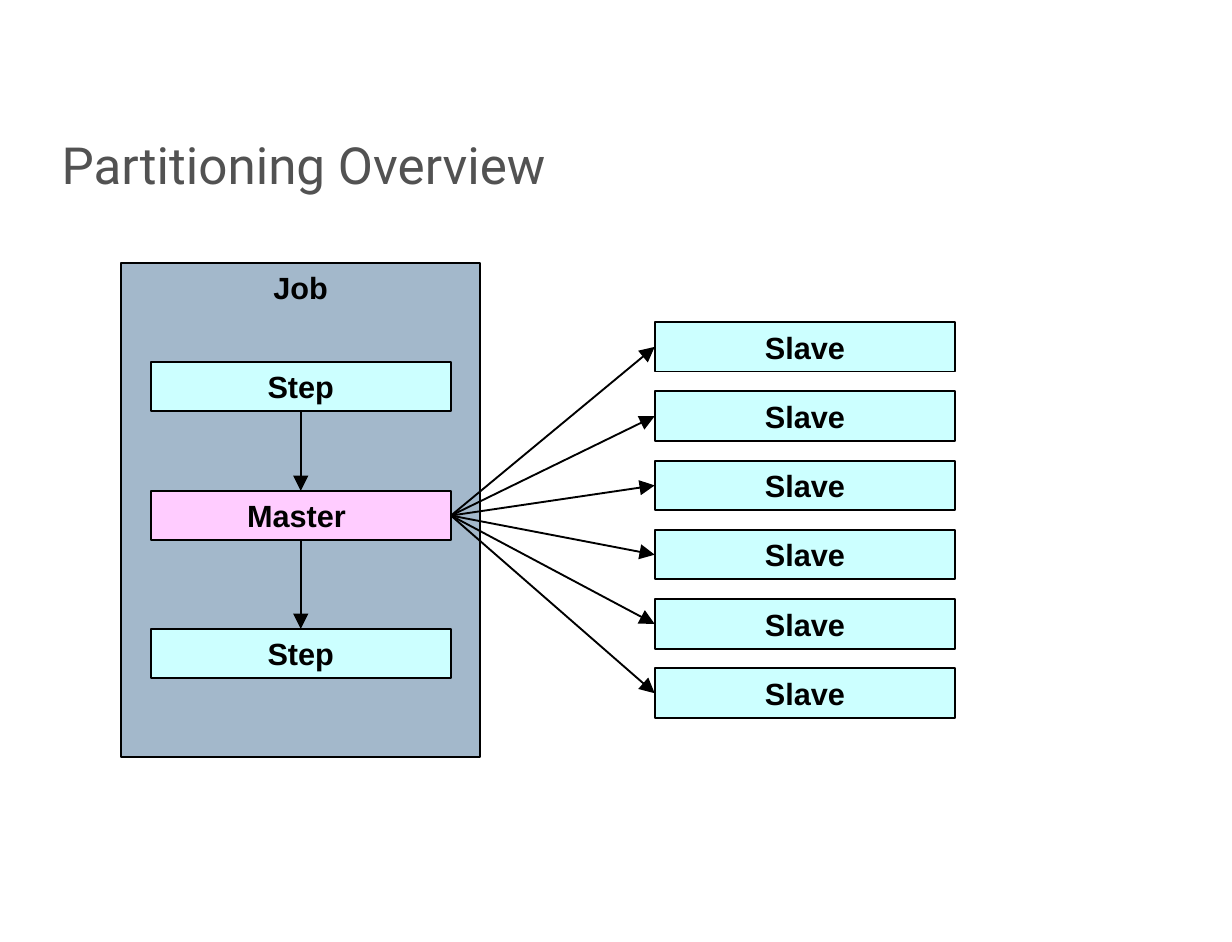
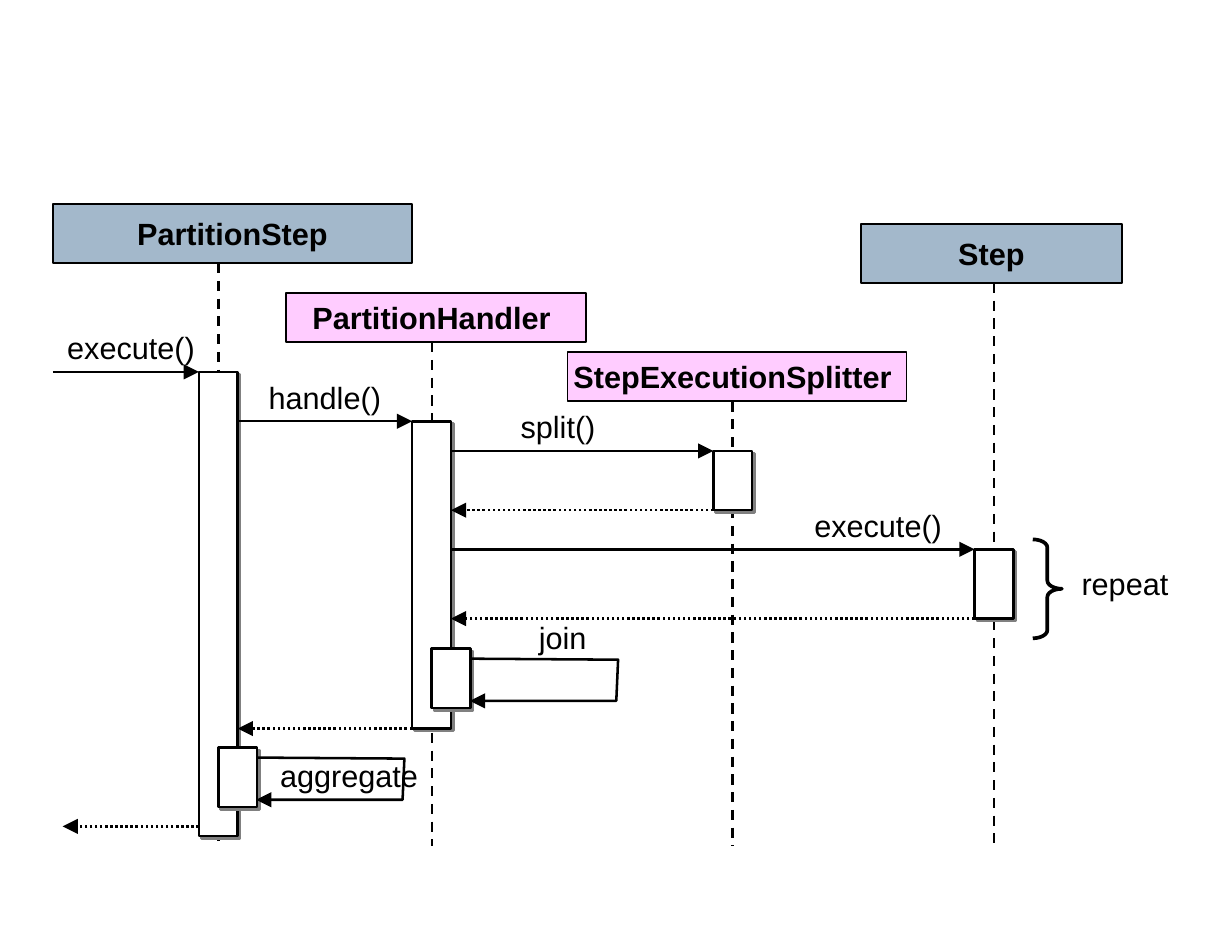
from lxml.etree import SubElement
from pptx import Presentation
from pptx.dml.color import RGBColor
from pptx.enum.dml import MSO_LINE
from pptx.enum.shapes import MSO_CONNECTOR, MSO_SHAPE
from pptx.enum.text import MSO_ANCHOR, PP_ALIGN
from pptx.oxml.ns import qn
from pptx.util import Pt

HUES = {"title": "525252", "ink": "000000", "blue": "A3B8CB", "cyan": "CCFFFF",
        "pink": "FFCCFF", "white": "FFFFFF", "shade": "808080"}


def ink(shape, width=1, dash=None, head=False):
    """Style an outline, with an arrowhead at its end if asked, and clear the shadow."""
    line = shape.line
    line.color.rgb = RGBColor.from_string(HUES["ink"])
    line.width = Pt(width)
    if dash:
        line.dash_style = dash
    props = shape._element.spPr
    if head:
        SubElement(props.find(qn("a:ln")), qn("a:tailEnd"), type="triangle")
    return SubElement(props, qn("a:effectLst"))


def box(page, text, x, y, w, h, fill=None, anchor=MSO_ANCHOR.MIDDLE):
    """Add a filled box with a bold caption, or a plain label when there is no fill."""
    place = Pt(x), Pt(y), Pt(w), Pt(h)
    if fill:
        shape = page.shapes.add_shape(MSO_SHAPE.RECTANGLE, *place)
        shape.fill.solid()
        shape.fill.fore_color.rgb = RGBColor.from_string(HUES[fill])
        ink(shape, 0.75)
    else:
        shape = page.shapes.add_textbox(*place)
    frame = shape.text_frame
    frame.word_wrap = not fill
    frame.vertical_anchor = anchor
    frame.margin_left = frame.margin_right = Pt(5)
    frame.margin_top = frame.margin_bottom = Pt(2.5)
    para = frame.paragraphs[0]
    para.alignment = PP_ALIGN.CENTER
    run = para.add_run()
    run.text = text
    run.font.name = "Arial"
    run.font.size = Pt(12)
    run.font.bold = bool(fill)
    run.font.color.rgb = RGBColor.from_string(HUES["ink"])
    return shape


deck = Presentation()
deck.slide_width, deck.slide_height = Pt(481.89), Pt(368.5)
blank = deck.slide_layouts[6]

# Slide 1: partitioning overview
page = deck.slides.add_slide(blank)
title = page.shapes.add_textbox(Pt(24.1), Pt(14.5), Pt(433.5), Pt(61.7)).text_frame
title.word_wrap = True
title.vertical_anchor = MSO_ANCHOR.BOTTOM
title.margin_left = title.margin_right = title.margin_top = title.margin_bottom = 0
run = title.paragraphs[0].add_run()
run.text = "Partitioning Overview"
run.font.name = "Roboto"
run.font.size = Pt(20)
run.font.color.rgb = RGBColor.from_string(HUES["title"])

box(page, "Job", 47.3, 102.8, 140.5, 193.5, "blue", MSO_ANCHOR.TOP)
first, master, last = [
    box(page, text, 58.9, y, 117.5, 19.4, fill)
    for text, y, fill in [("Step", 141.6, "cyan"), ("Master ", 192, "pink"),
                          ("Step", 246, "cyan")]]
slaves = [box(page, "Slave", 256.1, 126 + 27.1 * row, 117.5, 19.4, "cyan")
          for row in range(6)]

joins = [(first, 2, master, 0), (master, 2, last, 0)]
joins += [(master, 3, slave, 1) for slave in slaves]
for start, out, end, into in joins:
    wire = page.shapes.add_connector(MSO_CONNECTOR.STRAIGHT, 0, 0, 0, 0)
    wire.begin_connect(start, out)
    wire.end_connect(end, into)
    ink(wire, 0.75, head=True)

# Slide 2: sequence diagram
page = deck.slides.add_slide(blank)
heads = [  # text, left, top, width, height, fill, lifeline x
    ("PartitionStep", 20.7, 79.7, 140.5, 23.2, "blue", 85.4),
    ("PartitionHandler ", 111.8, 114.5, 117.5, 19.4, "pink", 169),
    ("StepExecutionSplitter ", 222, 137.7, 132.6, 19.4, "pink", 286.5),
    ("Step", 336.7, 87.5, 102.2, 23.2, "blue", 388.8),
]
for text, x, y, w, h, fill, mid in heads:
    box(page, text, x, y, w, h, fill)
    life = page.shapes.add_connector(
        MSO_CONNECTOR.STRAIGHT, Pt(mid), Pt(y + h), Pt(mid), Pt(331))
    ink(life, dash=MSO_LINE.DASH)

bars = [(77.8, 145.5, 181.6), (161.2, 164.8, 120.1), (279, 176.4, 23.2),
        (381.2, 214.9, 27.2), (168.9, 253.8, 23.2), (85.4, 292.5, 23.2)]
for x, y, h in bars:
    bar = page.shapes.add_shape(MSO_SHAPE.RECTANGLE, Pt(x), Pt(y), Pt(15.2), Pt(h))
    bar.fill.solid()
    bar.fill.fore_color.rgb = RGBColor.from_string(HUES["white"])
    shade = SubElement(ink(bar), qn("a:outerShdw"), blurRad="0",
                       dist=str(Pt(1.4)), dir="2700000", algn="tl")
    SubElement(shade, qn("a:srgbClr"), val=HUES["shade"])

calls = [(20.7, 77.8, 145.5), (93, 161.2, 164.8), (176.4, 279, 176.4),
         (176.4, 381.2, 214.9)]
backs = [(279, 176.4, 199.6), (381.2, 176.4, 242), (161.2, 93, 285),
         (77.8, 24.5, 323.3)]
for start, end, y in calls + backs:
    wire = page.shapes.add_connector(
        MSO_CONNECTOR.STRAIGHT, Pt(start), Pt(y), Pt(end), Pt(y))
    ink(wire, dash=MSO_LINE.ROUND_DOT if end < start else None, head=True)

for x, y in [(183.8, 257.7), (100.2, 296.4)]:
    pen = page.shapes.build_freeform(Pt(x + 0.5), Pt(y))
    pen.add_line_segments([(Pt(x + 58), Pt(y + 0.4)), (Pt(x + 57.3), Pt(y + 16.5)),
                           (Pt(x), Pt(y + 16.5))], close=False)
    loop = pen.convert_to_shape()
    loop.fill.background()
    ink(loop, head=True)

brace = page.shapes.add_shape(
    MSO_SHAPE.RIGHT_BRACE, Pt(404), Pt(211), Pt(11.4), Pt(38.7))
brace.adjustments[0] = 0.28
brace.fill.background()
ink(brace, 1.45)

labels = [("execute()", 20.7, 126, 61.2), ("handle()", 96.5, 145.6, 61.2),
          ("split()", 187.7, 157, 61.2), ("execute()", 290.2, 195.8, 106.6),
          ("repeat", 415.2, 218.7, 49.7), ("join", 199.2, 239.5, 41.8),
          ("aggregate", 104.2, 293.5, 64.8)]
for text, x, y, w in labels:
    box(page, text, x, y, w, 19.4, anchor=MSO_ANCHOR.TOP)

deck.save("out.pptx")
